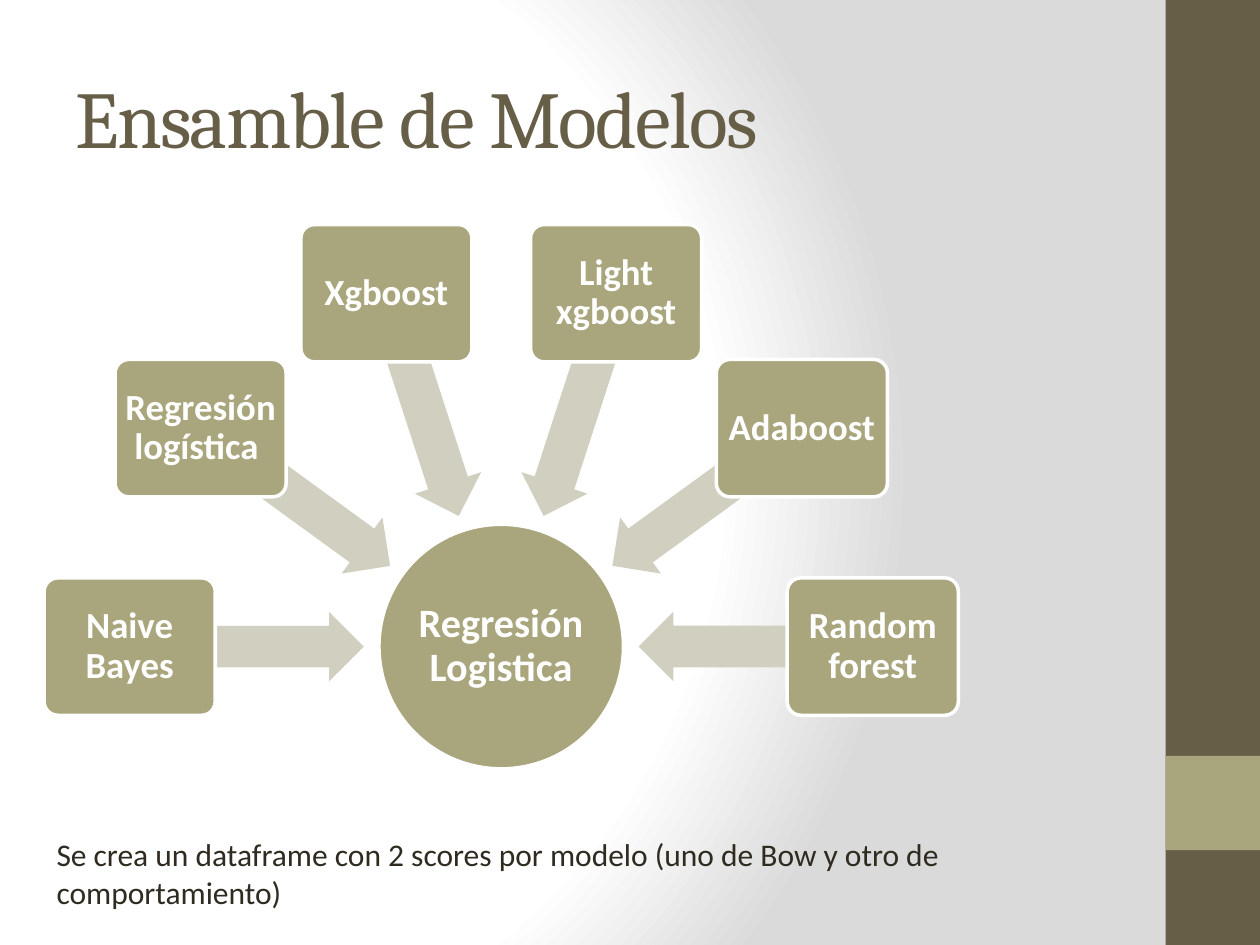
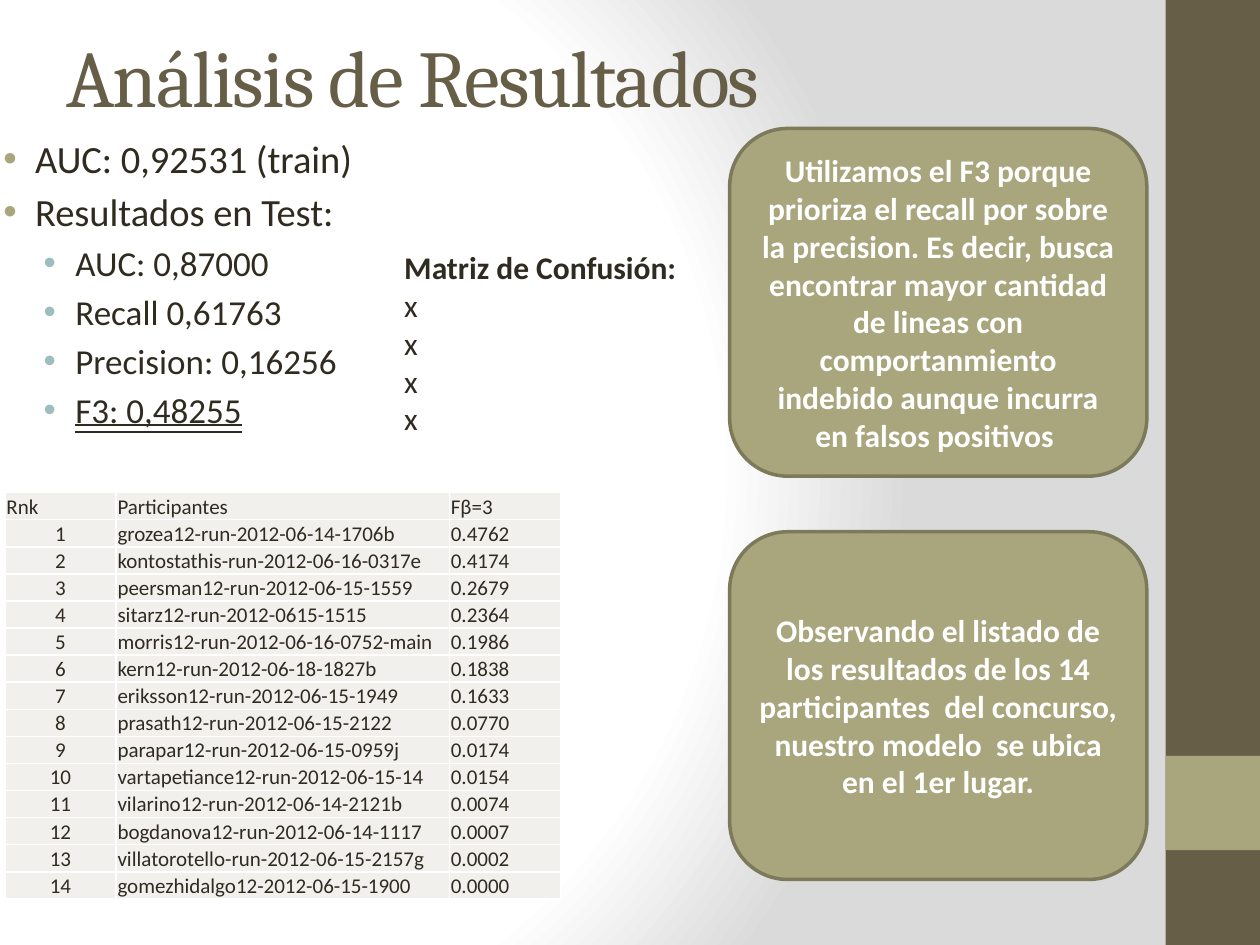
from math import cos, radians, sin

from pptx import Presentation
from pptx.dml.color import RGBColor
from pptx.enum.shapes import MSO_SHAPE
from pptx.enum.text import MSO_ANCHOR, MSO_UNDERLINE, PP_ALIGN
from pptx.oxml import parse_xml
from pptx.oxml.ns import nsdecls
from pptx.util import Cm, Pt

RECT, ROUNDED = MSO_SHAPE.RECTANGLE, MSO_SHAPE.ROUNDED_RECTANGLE
OVAL, LEFT_ARROW = MSO_SHAPE.OVAL, MSO_SHAPE.LEFT_ARROW
TOP, MIDDLE, BOTTOM = MSO_ANCHOR.TOP, MSO_ANCHOR.MIDDLE, MSO_ANCHOR.BOTTOM
LEFT, CENTER = PP_ALIGN.LEFT, PP_ALIGN.CENTER
DOUBLE_LINE = MSO_UNDERLINE.DOUBLE_LINE

# Shared look: all lengths are centimetres
SLIDE_W, SLIDE_H = 25.4, 19.05
BAND_W = 1.9
BROWN, OLIVE, PALE_OLIVE, DARK_OLIVE = "675E47", "A9A57C", "D1CFBF", "7D7A5C"
INK, WHITE, GREY, TEAL, CELL = "2F2B20", "FFFFFF", "DADADA", "9CBEBD", "F1F0EC"

TITLE_FONT = {"name": "Cambria", "size": Pt(46)}
BODY_FONT = {"name": "Calibri", "size": Pt(18)}
BOLD_FONT = {**BODY_FONT, "bold": True}
HUB_FONT = {**BOLD_FONT, "size": Pt(23)}
MODEL_FONT = {**BOLD_FONT, "size": Pt(21)}
TABLE_FONT = {**BODY_FONT, "size": Pt(12)}

MODELS = ["Naive Bayes", "Regresión logística ", "Xgboost",
          "Light xgboost", "Adaboost", "Random forest"]
# Metric text, level
METRICS = [
    ("AUC: 0,92531 (train)", 0),
    ("Resultados en Test:", 0),
    ("AUC: 0,87000", 1),
    ("Recall 0,61763", 1),
    ("Precision: 0,16256", 1),
    ("F3: 0,48255", 1),
]
# For each level: size, left margin, bullet colour
METRIC_LEVELS = [(22, 0.97, OLIVE), (20, 1.78, TEAL)]
RANKING = [
    ("grozea12-run-2012-06-14-1706b", "0.4762"),
    ("kontostathis-run-2012-06-16-0317e", "0.4174"),
    ("peersman12-run-2012-06-15-1559", "0.2679"),
    ("sitarz12-run-2012-0615-1515", "0.2364"),
    ("morris12-run-2012-06-16-0752-main", "0.1986"),
    ("kern12-run-2012-06-18-1827b", "0.1838"),
    ("eriksson12-run-2012-06-15-1949", "0.1633"),
    ("prasath12-run-2012-06-15-2122", "0.0770"),
    ("parapar12-run-2012-06-15-0959j", "0.0174"),
    ("vartapetiance12-run-2012-06-15-14", "0.0154"),
    ("vilarino12-run-2012-06-14-2121b", "0.0074"),
    ("bogdanova12-run-2012-06-14-1117", "0.0007"),
    ("villatorotello-run-2012-06-15-2157g", "0.0002"),
    ("gomezhidalgo12-2012-06-15-1900", "0.0000"),
]
WHY_F3 = ("Utilizamos el F3 porque prioriza el recall por sobre la precision. "
          "Es decir, busca encontrar mayor cantidad de lineas con comportanmiento "
          "indebido aunque incurra en falsos positivos ")
OUR_RANK = ("Observando el listado de los resultados de los 14 participantes  del "
            "concurso, nuestro modelo  se ubica en el 1er lugar.")


def rgb(hex_code):
    return RGBColor.from_string(hex_code)


def lengths(box):
    return [Cm(value) for value in box]


def centred(x, y, width, height):
    return x - width / 2, y - height / 2, width, height


def set_values(target, values):
    for key, value in values.items():
        setattr(target, key, value)


def write(paragraph, text, font, color=INK, align=LEFT):
    run = paragraph.add_run()
    run.text = text
    set_values(run.font, font)
    run.font.color.rgb = rgb(color)
    paragraph.alignment = align
    return run


def set_insets(target, left, top, right, bottom):
    set_values(target, {"margin_left": Cm(left), "margin_top": Cm(top),
                        "margin_right": Cm(right), "margin_bottom": Cm(bottom)})


def text_area(slide, box, anchor=TOP):
    frame = slide.shapes.add_textbox(*lengths(box)).text_frame
    set_values(frame, {"word_wrap": True, "vertical_anchor": anchor})
    return frame


def solid(slide, kind, box, fill, line=None):
    shape = slide.shapes.add_shape(kind, *lengths(box))
    shape.shadow.inherit = False
    shape.fill.solid()
    shape.fill.fore_color.rgb = rgb(fill)
    if line:
        shape.line.color.rgb = rgb(line)
        shape.line.width = Pt(2)
    else:
        shape.line.fill.background()
    return shape


def label(shape, text, font, inset=None, spacing=None):
    frame = shape.text_frame
    set_values(frame, {"word_wrap": True, "vertical_anchor": MIDDLE})
    if inset is not None:
        set_insets(frame, *[inset] * 4)
    write(frame.paragraphs[0], text, font, WHITE, CENTER)
    if spacing:
        frame.paragraphs[0].line_spacing = spacing


def set_backdrop(slide):
    stops = "".join(f'<a:gs pos="{pos}000"><a:srgbClr val="{color}"/></a:gs>'
                    for pos, color in ((0, WHITE), (75, WHITE), (100, GREY)))
    slide._element.cSld.insert(0, parse_xml(
        f'<p:bg {nsdecls("p", "a")}><p:bgPr><a:gradFill rotWithShape="1">'
        f'<a:gsLst>{stops}</a:gsLst><a:path path="circle">'
        '<a:fillToRect l="20000" t="50000" r="100000" b="50000"/></a:path>'
        '</a:gradFill><a:effectLst/></p:bgPr></p:bg>'))


def new_slide(deck, title, left, top):
    """Slide with backdrop, side band and title."""
    slide = deck.slides.add_slide(deck.slide_layouts[6])
    set_backdrop(slide)
    band_left = SLIDE_W - BAND_W
    solid(slide, RECT, (band_left, 0, BAND_W, SLIDE_H), BROWN)
    solid(slide, RECT, (band_left, 15.24, BAND_W, BAND_W), OLIVE)
    heading = text_area(slide, (left, top, 21.16, 3.18), MIDDLE)
    run = write(heading.paragraphs[0], title, TITLE_FONT, BROWN)
    run.font._element.set("spc", "-100")
    return slide


def ensemble_diagram(slide, box):
    """Models on a half circle, each pointing at the hub."""
    left, top, width, height = box
    hub_size, model_w, model_h = 4.93, 3.45, 2.77
    hub_x, hub_y = left + width / 2, top + height - hub_size / 2
    model_radius, arrow_radius = (width - model_w) / 2, 5.13

    hub = solid(slide, OVAL, centred(hub_x, hub_y, hub_size, hub_size), OLIVE, WHITE)
    label(hub, "Regresión Logistica", HUB_FONT, 0.05, 0.9)

    for index, name in enumerate(MODELS):
        angle = 180 + index * 180 / (len(MODELS) - 1)
        dx, dy = cos(radians(angle)), sin(radians(angle))
        arrow = solid(slide, LEFT_ARROW, centred(
            hub_x + arrow_radius * dx, hub_y + arrow_radius * dy, 4.72, 1.4), PALE_OLIVE)
        arrow.adjustments[0], arrow.adjustments[1] = 0.6, 0.5
        arrow.rotation = angle % 360
        model = solid(slide, ROUNDED, centred(
            hub_x + model_radius * dx, hub_y + model_radius * dy,
            model_w, model_h), OLIVE, WHITE)
        model.adjustments[0] = 0.1
        label(model, name, MODEL_FONT, 0.1, 0.9)


def metric_list(slide, box):
    frame = text_area(slide, box)
    for index, (text, level) in enumerate(METRICS):
        size, margin, bullet_color = METRIC_LEVELS[level]
        paragraph = frame.add_paragraph() if index else frame.paragraphs[0]
        run = write(paragraph, text, {**BODY_FONT, "size": Pt(size)})
        set_values(paragraph, {"level": level, "space_before": Pt(size * 0.2)})
        properties = paragraph._p.get_or_add_pPr()
        properties.set("marL", str(Cm(margin)))
        properties.set("indent", str(Cm(-0.64)))
        for bullet in (f'<a:buClr {nsdecls("a")}><a:srgbClr val="{bullet_color}"/></a:buClr>',
                       f'<a:buFont {nsdecls("a")} typeface="Arial"/>',
                       f'<a:buChar {nsdecls("a")} char="•"/>'):
            properties.append(parse_xml(bullet))
    # The last metric is the one that counts
    run.font.underline = DOUBLE_LINE


def confusion_matrix(slide, box):
    frame = text_area(slide, box)
    write(frame.paragraphs[0], "Matriz de Confusión:", BOLD_FONT)
    for _ in range(4):
        write(frame.add_paragraph(), "x", BODY_FONT)


def border_cell(cell):
    properties = cell._tc.get_or_add_tcPr()
    for side in "LRTB":
        properties.append(parse_xml(
            f'<a:ln{side} {nsdecls("a")} w="12700"><a:solidFill>'
            f'<a:srgbClr val="{WHITE}"/></a:solidFill></a:ln{side}>'))


def ranking_table(slide, box):
    rows = [("Rnk", "Participantes", "Fβ=3")]
    rows += [(str(rank), *entry) for rank, entry in enumerate(RANKING, 1)]
    table = slide.shapes.add_table(len(rows), 3, *lengths(box)).table
    set_values(table, {"first_row": False, "horz_banding": False})
    for column, share in zip(table.columns, (0.2, 0.6, 0.2)):
        column.width = Cm(box[2] * share)
    for r, values in enumerate(rows):
        table.rows[r].height = Cm(box[3] / len(rows))
        for c, value in enumerate(values):
            cell = table.cell(r, c)
            border_cell(cell)
            cell.fill.solid()
            cell.fill.fore_color.rgb = rgb(CELL)
            cell.vertical_anchor = BOTTOM
            set_insets(cell, 0.03, 0.03, 0.03, 0)
            write(cell.text_frame.paragraphs[0], value, TABLE_FONT,
                  align=CENTER if r and c == 0 else LEFT)


def callouts(slide, box):
    """Two equal notes at the top and bottom of the box."""
    left, top, width, height = box
    note_h = 7.01
    for note_top, text in ((top, WHY_F3), (top + height - note_h, OUR_RANK)):
        note = solid(slide, ROUNDED, (left, note_top, width, note_h), OLIVE, DARK_OLIVE)
        label(note, text, BOLD_FONT)


def ensemble_slide(deck):
    slide = new_slide(deck, "Ensamble de Modelos", 1.27, 0.76)
    ensemble_diagram(slide, (0.89, 4.55, 18.43, 10.95))
    caption = text_area(slide, (0.89, 16.71, 20.4, 1.8))
    write(caption.paragraphs[0], "Se crea un dataframe con 2 scores por modelo "
          "(uno de Bow y otro de comportamiento)", BODY_FONT)


def results_slide(deck):
    slide = new_slide(deck, "Análisis de Resultados", 1.09, -0.08)
    metric_list(slide, (-0.51, 2.59, 10, 7.01))
    ranking_table(slide, (0.1, 9.93, 11.2, 8.2))
    callouts(slide, (14.71, 2.59, 8.41, 15.14))
    confusion_matrix(slide, (7.9, 4.88, 6.2, 4.11))


deck = Presentation()
deck.slide_width, deck.slide_height = Cm(SLIDE_W), Cm(SLIDE_H)
ensemble_slide(deck)
results_slide(deck)
deck.save("out.pptx")
